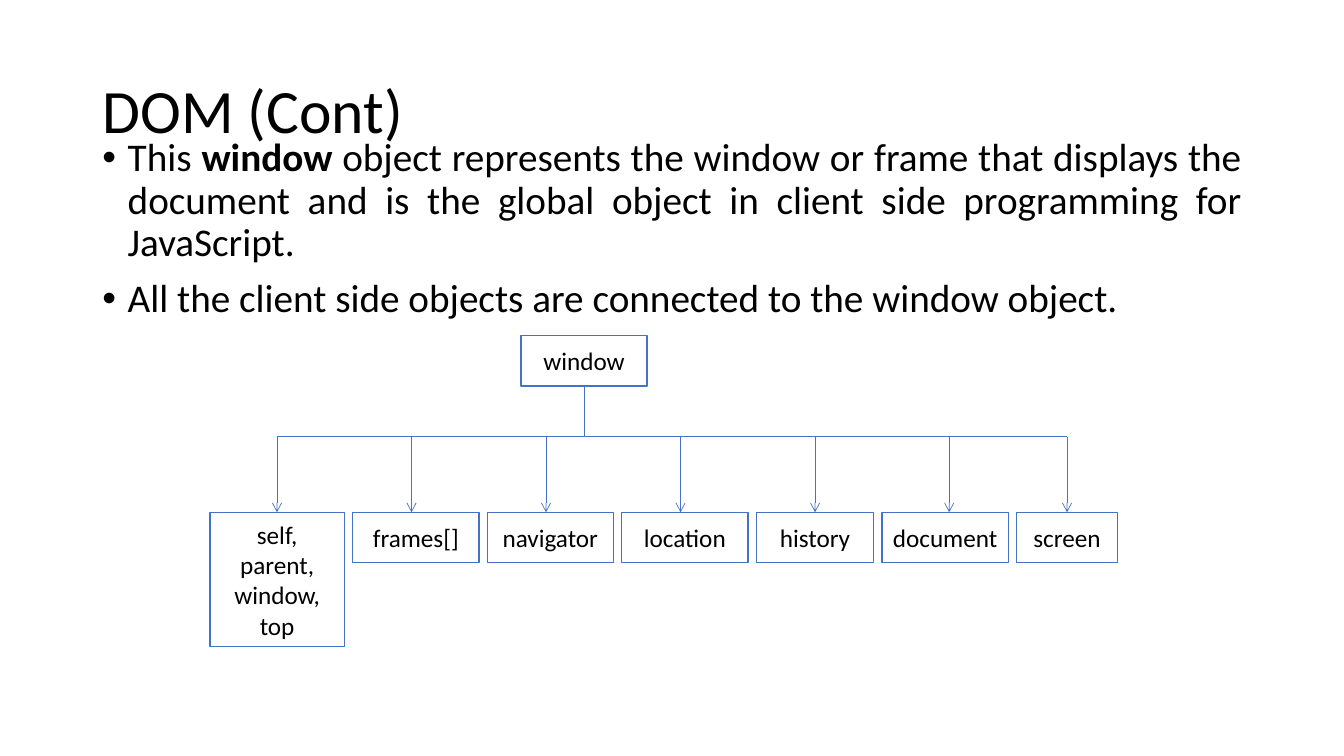
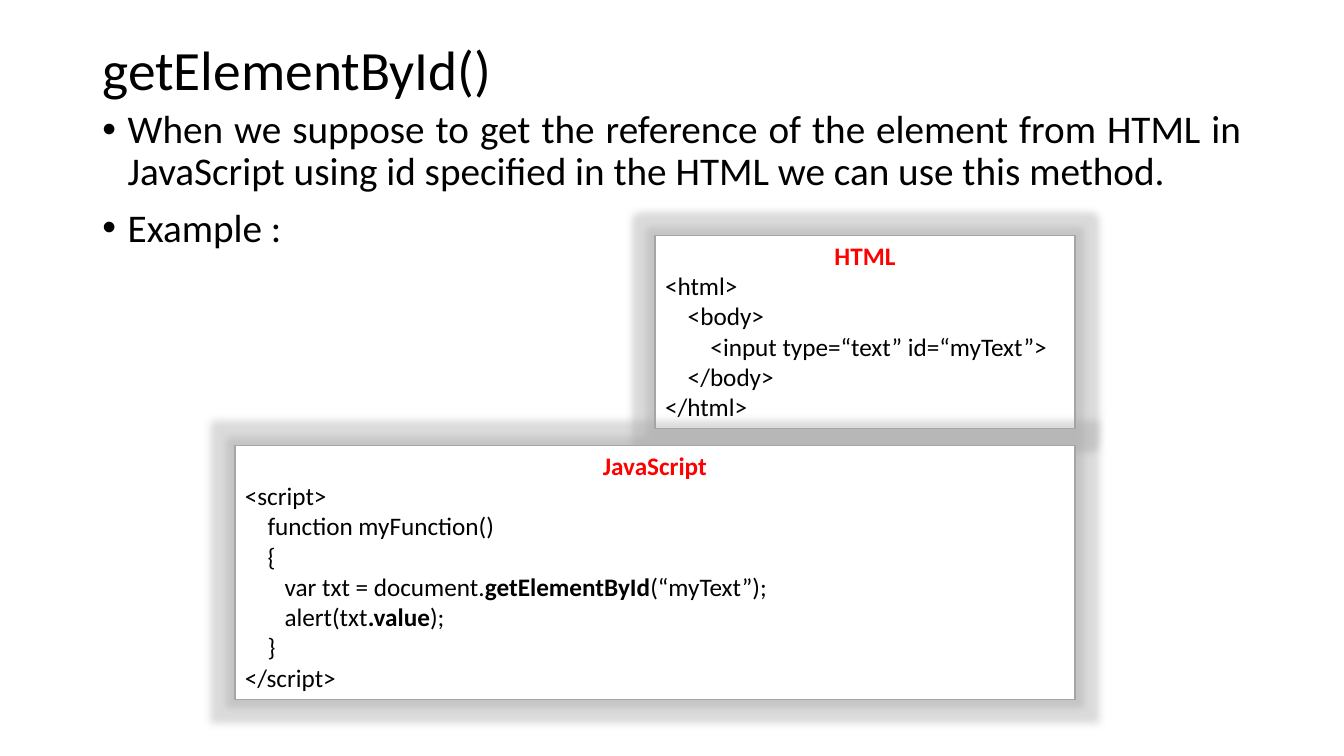
import dataclasses

import lxml.etree
import pptx
import pptx.dml.color
import pptx.enum.shapes
import pptx.enum.text
import pptx.oxml.ns
import pptx.util

Cm = pptx.util.Cm
Pt = pptx.util.Pt
ALIGN = pptx.enum.text.PP_ALIGN
ANCHOR = pptx.enum.text.MSO_ANCHOR
AUTO_SIZE = pptx.enum.text.MSO_AUTO_SIZE
qn = pptx.oxml.ns.qn


def rgb(value):
    return pptx.dml.color.RGBColor.from_string(value)


@dataclasses.dataclass(frozen=True)
class Theme:
    font: str = "Calibri"
    ink: str = "000000"
    paper: str = "FFFFFF"
    tree_line: str = "4472C4"
    code_line: str = "A5A5A5"
    heading: str = "FF0000"
    title_size: float = 44
    small_title_size: float = 39.6
    body_size: float = 28
    label_size: float = 18
    outline: float = 1
    connector: float = 0.5
    line_spacing: float = 0.9
    body_gap: float = 10
    glow_radius: float = 11


THEME = Theme()
MARGIN, CONTENT_WIDTH = 2.33, 29.21

TREE_ROOT = ("window", 3.18)
# Label, box width, distance from the box's left edge to its arrow
TREE_NODES = [
    (["self,", "parent,", "window,", "top"], 3.39, 1.69),
    (["frames[]"], 3.18, 1.48),
    (["navigator"], 3.18, 1.48),
    (["location"], 3.18, 1.48),
    (["history"], 2.96, 1.48),
    (["document"], 3.18, 1.69),
    (["screen"], 2.54, 1.27),
]

# In each paragraph, every second run is bold
DOM_BULLETS = [
    ("This ", "window", " object represents the window or frame that displays the document "
     "and is the global object in client side programming for JavaScript."),
    ("All the client side objects are connected to the window object.",),
]
METHOD_BULLETS = [
    ("When we suppose to get the reference of the element from HTML in JavaScript "
     "using id specified in the HTML we can use this method.",),
    ("Example :",),
]
HTML_CODE = [
    ("<html>",),
    ("    <body>",),
    ("        <input type=“text” id=“myText”>",),
    ("    </body>",),
    ("</html>",),
]
SCRIPT_CODE = [
    ("<script>",),
    ("    function myFunction()",),
    ("    {",),
    ("       var txt = document.", "getElementById", "(“myText”);"),
    ("       alert(txt", ".value", ");"),
    ("    }",),
    ("</script>",),
]


def apply(target, values):
    for name, value in values.items():
        setattr(target, name, value)


def add_child(parent, tag, **attributes):
    return lxml.etree.SubElement(parent, qn(tag), attributes)


def add_span(para, text, size, color=THEME.ink, bold=False):
    span = para.add_run()
    span.text = text
    apply(span.font, {"name": THEME.font, "size": Pt(size), "bold": bold})
    span.font.color.rgb = rgb(color)


def next_para(frame, index):
    return frame.paragraphs[0] if index == 0 else frame.add_paragraph()


def add_page(deck, title, top, height, size):
    page = deck.slides.add_slide(deck.slide_layouts[5])
    box = page.shapes.title
    apply(box, {"left": Cm(MARGIN), "top": Cm(top),
                "width": Cm(CONTENT_WIDTH), "height": Cm(height)})
    apply(box.text_frame, {"auto_size": AUTO_SIZE.NONE, "word_wrap": True,
                           "vertical_anchor": ANCHOR.MIDDLE})
    para = box.text_frame.paragraphs[0]
    apply(para, {"alignment": ALIGN.LEFT, "line_spacing": THEME.line_spacing})
    add_span(para, title, size)
    return page


def add_bullets(page, top, height, bullets):
    box = page.shapes.add_textbox(Cm(MARGIN), Cm(top), Cm(CONTENT_WIDTH), Cm(height))
    frame = box.text_frame
    frame.word_wrap = True
    indent = Cm(0.64)
    for index, runs in enumerate(bullets):
        para = next_para(frame, index)
        properties = para._p.get_or_add_pPr()
        properties.set("marL", str(indent))
        properties.set("indent", str(-indent))
        add_child(properties, "a:buFont", typeface="Arial")
        add_child(properties, "a:buChar", char="•")
        apply(para, {"alignment": ALIGN.JUSTIFY, "line_spacing": THEME.line_spacing,
                     "space_before": Pt(THEME.body_gap if index else 0)})
        for position, text in enumerate(runs):
            add_span(para, text, THEME.body_size, bold=position % 2 == 1)


def add_panel(page, left, top, width, height, line_color):
    panel = page.shapes.add_shape(pptx.enum.shapes.MSO_SHAPE.RECTANGLE,
                                  Cm(left), Cm(top), Cm(width), Cm(height))
    panel.shadow.inherit = False
    panel.fill.solid()
    panel.fill.fore_color.rgb = rgb(THEME.paper)
    panel.line.color.rgb = rgb(line_color)
    panel.line.width = Pt(THEME.outline)
    panel.text_frame.word_wrap = True
    return panel


def add_node(page, left, top, width, height, lines):
    frame = add_panel(page, left, top, width, height, THEME.tree_line).text_frame
    frame.vertical_anchor = ANCHOR.MIDDLE
    for index, text in enumerate(lines):
        para = next_para(frame, index)
        para.alignment = ALIGN.CENTER
        add_span(para, text, THEME.label_size)


def add_line(page, start, end, arrow=False):
    line = page.shapes.add_connector(pptx.enum.shapes.MSO_CONNECTOR.STRAIGHT,
                                     *(Cm(value) for value in (*start, *end)))
    line.line.color.rgb = rgb(THEME.tree_line)
    line.line.width = Pt(THEME.connector)
    if arrow:
        add_child(line.line._get_or_add_ln(), "a:tailEnd", type="arrow")
    add_child(line._element.spPr, "a:effectLst")


def add_object_tree(page, left, top):
    """Draw the root, the bus below it and a row of nodes hanging from the bus."""
    node_height, tall_height, gap = 1.27, 3.39, 0.21
    bus_y, row_y = top + 2.54, top + 4.45
    label, root_width = TREE_ROOT
    root_left = left + 7.84
    root_x = root_left + root_width / 2
    add_node(page, root_left, top, root_width, node_height, [label])
    add_line(page, (root_x, top + node_height), (root_x, bus_y))

    arrows = []
    for lines, width, offset in TREE_NODES:
        height = tall_height if len(lines) > 1 else node_height
        add_node(page, left, row_y, width, height, lines)
        arrows.append(left + offset)
        add_line(page, (arrows[-1], bus_y), (arrows[-1], row_y), arrow=True)
        left += width + gap
    add_line(page, (arrows[0], bus_y), (arrows[-1], bus_y))


def add_glow(panel):
    effects = panel._element.spPr.find(qn("a:effectLst"))
    glow = add_child(effects, "a:glow", rad=str(Pt(THEME.glow_radius)))
    color = add_child(glow, "a:srgbClr", val=THEME.code_line)
    add_child(color, "a:alpha", val="40000")


def add_code(page, left, top, width, height, language, code):
    panel = add_panel(page, left, top, width, height, THEME.code_line)
    add_glow(panel)
    frame = panel.text_frame
    apply(frame, {"auto_size": AUTO_SIZE.SHAPE_TO_FIT_TEXT, "vertical_anchor": ANCHOR.TOP})
    heading = frame.paragraphs[0]
    heading.alignment = ALIGN.CENTER
    add_span(heading, language, THEME.label_size, THEME.heading, bold=True)
    for runs in code:
        para = frame.add_paragraph()
        para.alignment = ALIGN.LEFT
        for position, text in enumerate(runs):
            add_span(para, text, THEME.label_size, bold=position % 2 == 1)


def build_dom_page(deck):
    page = add_page(deck, "DOM (Cont)", 1.01, 3.68, THEME.title_size)
    add_bullets(page, 3.35, 13.82, DOM_BULLETS)
    add_object_tree(page, 5.29, 8.46)


def build_method_page(deck):
    page = add_page(deck, "getElementById()", 1.01, 1.63, THEME.small_title_size)
    add_bullets(page, 2.64, 14.5, METHOD_BULLETS)
    right = 27.09
    for top, width, height, language, code in (
        (5.93, 10.58, 4.87, "HTML", HTML_CODE),
        (11.22, 21.17, 6.41, "JavaScript", SCRIPT_CODE),
    ):
        add_code(page, right - width, top, width, height, language, code)


def main():
    deck = pptx.Presentation()
    apply(deck, {"slide_width": Cm(33.87), "slide_height": Cm(19.05)})
    build_dom_page(deck)
    build_method_page(deck)
    deck.save("out.pptx")


if __name__ == "__main__":
    main()
